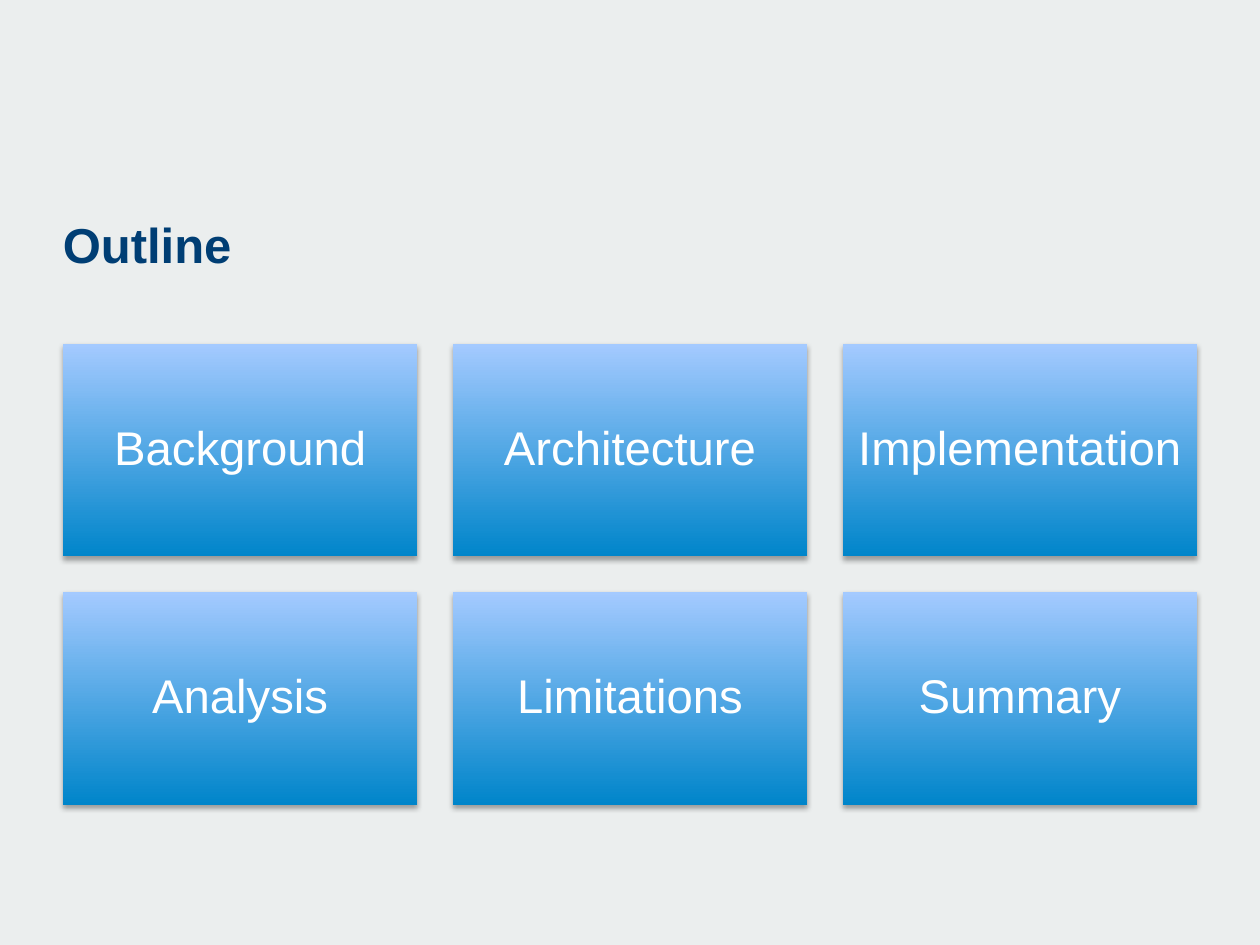
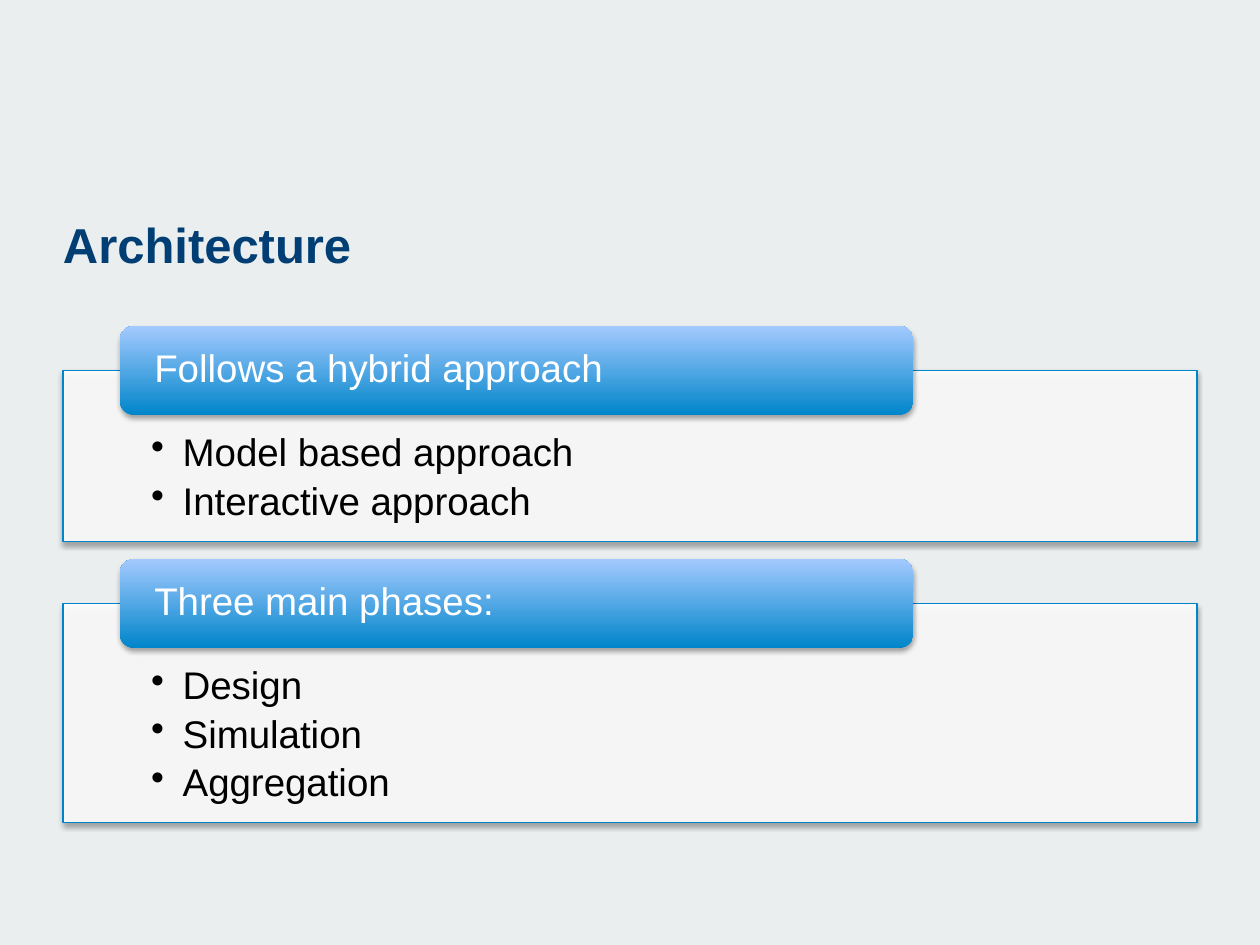
from lxml.etree import SubElement
from pptx import Presentation
from pptx.dml.color import RGBColor
from pptx.enum.shapes import MSO_SHAPE
from pptx.enum.text import MSO_ANCHOR, PP_ALIGN
from pptx.oxml.ns import qn
from pptx.util import Inches, Pt

COLORS = {
    "background": "EBEEEE",
    "title": "003E74",
    "accent": "0085CA",
    "highlight": "A4CAFF",
    "white": "FFFFFF",
    "black": "000000",
}
COLUMNS, ROWS = 100, 75
MARGIN, CONTENT_WIDTH = 5, 90
TOPICS = ["Background", "Architecture", "Implementation", "Analysis", "Limitations", "Summary"]
SECTIONS = [
    ("Follows a hybrid approach", ["Model based approach", "Interactive approach"]),
    ("Three main phases:", ["Design", "Simulation", "Aggregation"]),
]


def color(name):
    """Return the named palette colour."""
    return RGBColor.from_string(COLORS[name])


class Deck:
    """Hold the shared style and the current slide, laid out on a grid."""

    def __init__(self):
        """Start an empty 10 by 7.5 inch presentation."""
        self.presentation = Presentation()
        self.presentation.slide_width = Inches(10)
        self.presentation.slide_height = Inches(7.5)
        self.slide = None

    def across(self, columns):
        """Convert grid columns to a length."""
        return round(self.presentation.slide_width * columns / COLUMNS)

    def down(self, rows):
        """Convert grid rows to a length."""
        return round(self.presentation.slide_height * rows / ROWS)

    def place(self, left, top, width, height):
        """Convert a grid box to slide lengths."""
        return self.across(left), self.down(top), self.across(width), self.down(height)

    def new_slide(self, title):
        """Add a slide with the shared background and title."""
        self.slide = self.presentation.slides.add_slide(self.presentation.slide_layouts[6])
        self.slide.background.fill.solid()
        self.slide.background.fill.fore_color.rgb = color("background")
        heading = self.slide.shapes.add_textbox(*self.place(MARGIN, 16.3, CONTENT_WIDTH, 5.6))
        self.set_text(heading, [title], 28, "title", insets=(0, 0.5, 0, 0), bold=True, spacing=1)

    def set_text(self, shape, lines, size, ink, insets, align=PP_ALIGN.LEFT,
                 anchor=MSO_ANCHOR.MIDDLE, bold=False, spacing=0.9, bullets=False):
        """Fill a shape with uniformly styled paragraphs."""
        frame = shape.text_frame
        frame.word_wrap = True
        frame.vertical_anchor = anchor
        left, top, right, bottom = insets
        frame.margin_left, frame.margin_right = self.across(left), self.across(right)
        frame.margin_top, frame.margin_bottom = self.down(top), self.down(bottom)
        frame.text = "\n".join(lines)
        for paragraph in frame.paragraphs:
            paragraph.alignment = align
            paragraph.line_spacing = spacing
            paragraph.font.name = "Arial"
            paragraph.font.size = Pt(size)
            paragraph.font.bold = bold
            paragraph.font.color.rgb = color(ink)
            if bullets:
                paragraph.space_after = Pt(4)
                self.bullet(paragraph)

    def bullet(self, paragraph):
        """Give a paragraph a hanging round bullet."""
        properties = paragraph._p.get_or_add_pPr()
        indent = self.across(2.5)
        properties.set("marL", str(indent))
        properties.set("indent", str(-indent))
        properties.insert_element_before(
            properties.makeelement(qn("a:buChar"), {"char": "•"}),
            "a:tabLst", "a:defRPr", "a:extLst")

    def shadow(self, shape):
        """Cast a soft shadow straight down."""
        shape.shadow.inherit = False
        effects = shape._element.spPr.find(qn("a:effectLst"))
        outer = SubElement(effects, qn("a:outerShdw"), blurRad=str(Pt(3.1)),
                           dist=str(Pt(1.8)), dir="5400000", rotWithShape="0")
        tone = SubElement(outer, qn("a:srgbClr"), val=COLORS["black"])
        SubElement(tone, qn("a:alpha"), val="35000")

    def gradient_box(self, kind, box, text, size, insets, align):
        """Add a borderless blue gradient shape with white text."""
        shape = self.slide.shapes.add_shape(kind, *self.place(*box))
        shape.fill.gradient()
        shape.fill.gradient_angle = 90
        for stop, name in zip(shape.fill.gradient_stops, ("accent", "highlight")):
            stop.color.rgb = color(name)
        shape.line.fill.background()
        self.shadow(shape)
        self.set_text(shape, [text], size, "white", insets, align)

    def tile(self, box, topic):
        """Add a centred topic tile."""
        self.gradient_box(MSO_SHAPE.RECTANGLE, box, topic, 27, (1.1,) * 4, PP_ALIGN.CENTER)

    def panel(self, top, header, points):
        """Add a bulleted panel under a header tab and return its bottom row."""
        height = 6 + 3.8 * len(points)
        body = self.slide.shapes.add_shape(
            MSO_SHAPE.RECTANGLE, *self.place(MARGIN, top, CONTENT_WIDTH, height))
        body.fill.solid()
        body.fill.fore_color.rgb = color("white")
        tone = body._element.spPr.find(qn("a:solidFill")).find(qn("a:srgbClr"))
        SubElement(tone, qn("a:alpha"), val="90000")
        body.line.color.rgb = color("accent")
        body.line.width = Pt(0.75)
        self.shadow(body)
        self.set_text(body, points, 22, "black", (7, 5, 7, 1.7),
                      anchor=MSO_ANCHOR.TOP, bullets=True)
        tab = (MARGIN + 4.5, top - 3.55, CONTENT_WIDTH * 0.7, 7.1)
        self.gradient_box(MSO_SHAPE.ROUNDED_RECTANGLE, tab, header, 22,
                          (2.4, 0, 2.4, 0), PP_ALIGN.LEFT)
        return top + height


def main():
    """Build the outline and architecture slides."""
    deck = Deck()

    deck.new_slide("Outline")
    width = CONTENT_WIDTH / 3.2
    height, gap = width * 0.6, width * 0.1
    for index, topic in enumerate(TOPICS):
        row, column = divmod(index, 3)
        deck.tile((MARGIN + column * (width + gap), 27.3 + row * (height + gap),
                   width, height), topic)

    deck.new_slide("Architecture")
    top = 29.4
    for header, points in SECTIONS:
        top = deck.panel(top, header, points) + 4.9

    deck.presentation.save("out.pptx")


if __name__ == "__main__":
    main()
